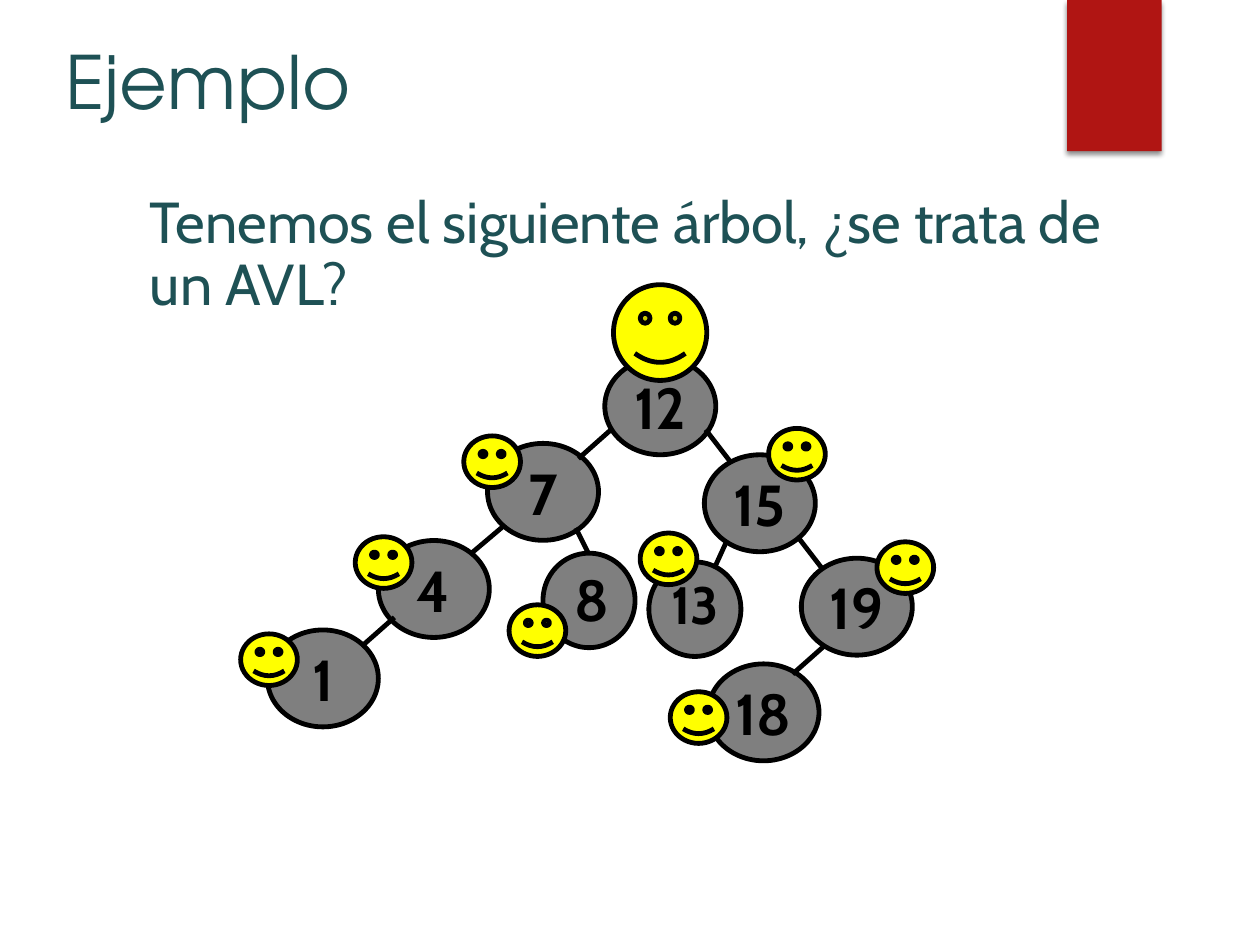
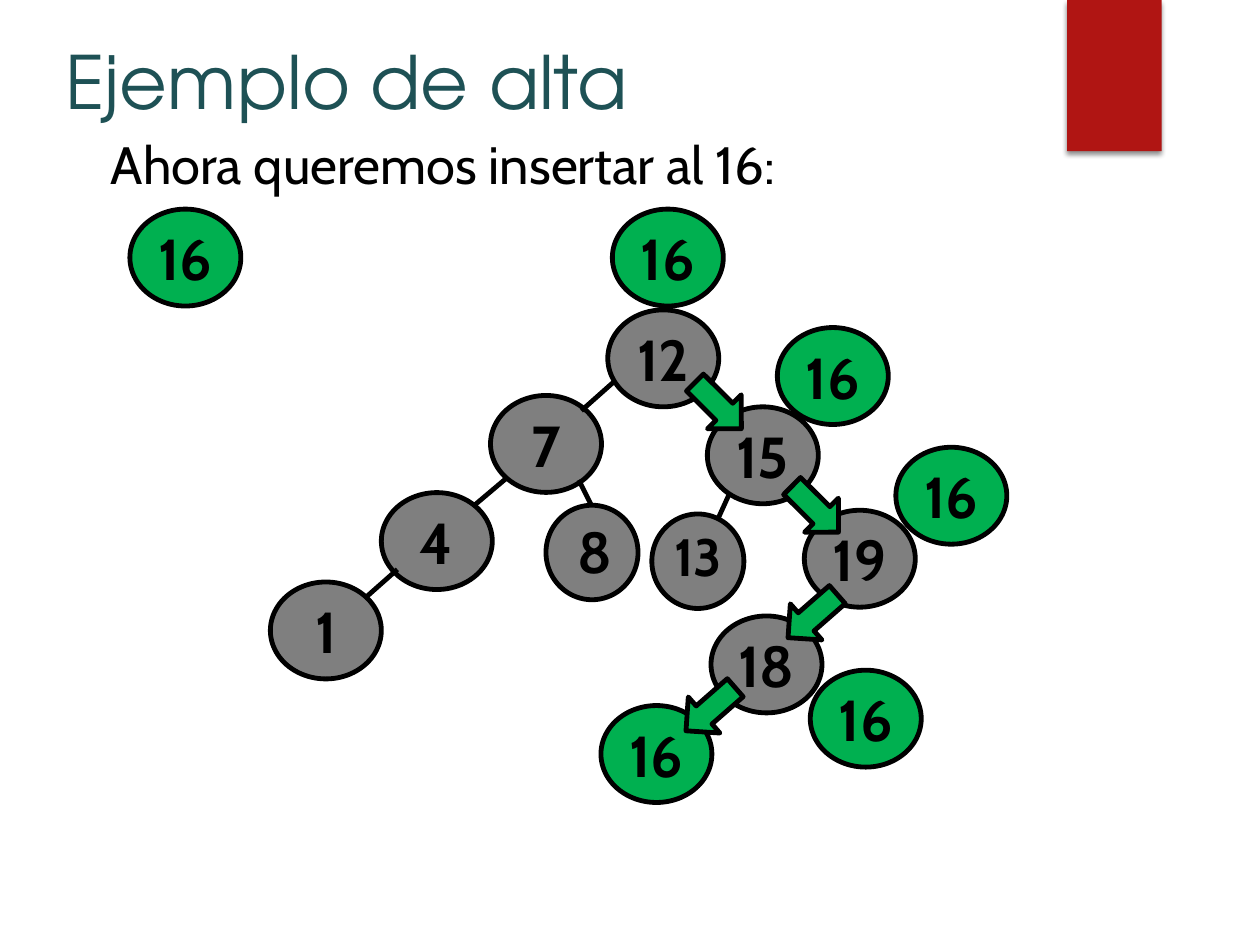
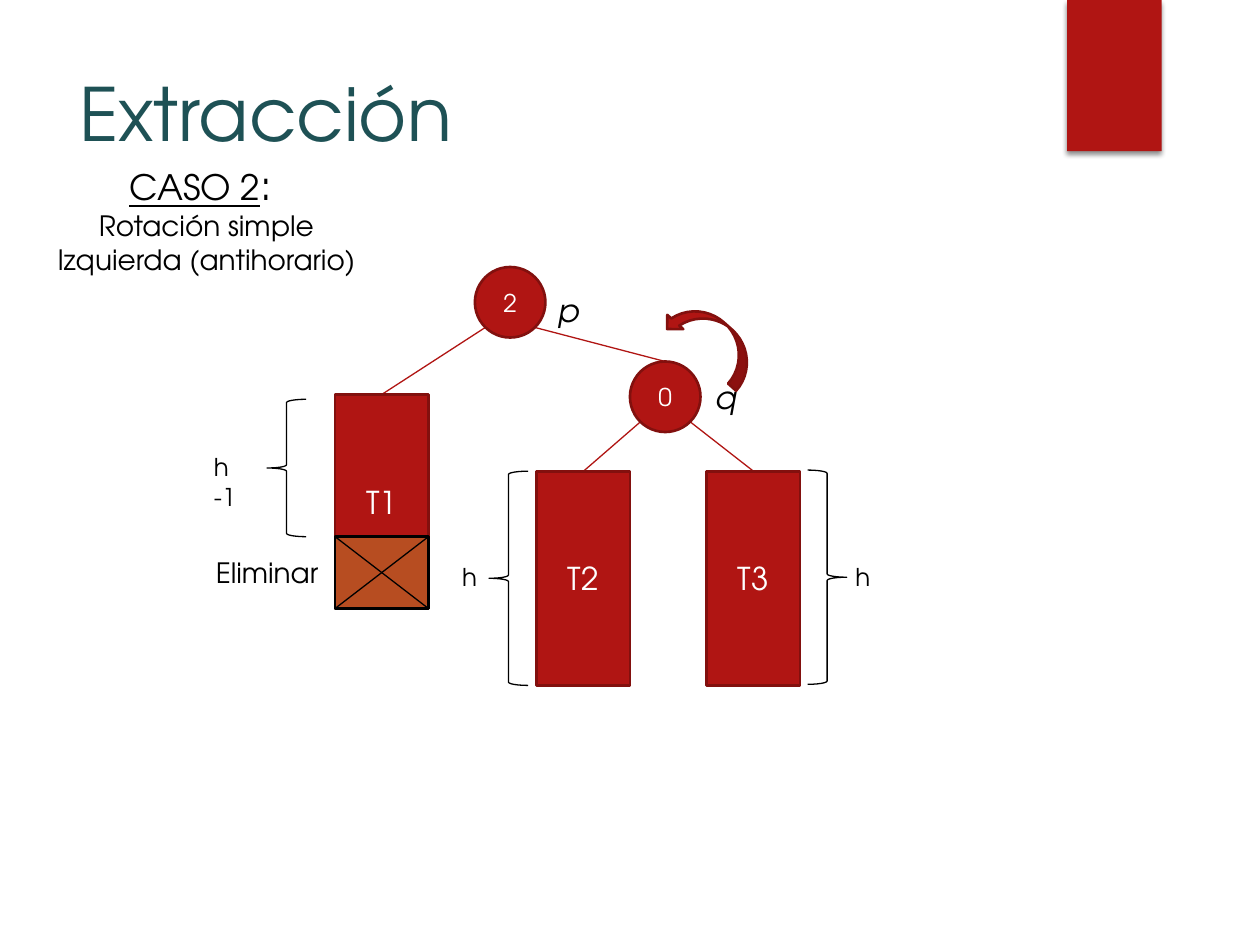
"""Build three slides on AVL trees: a check, an insertion and an extraction."""
from pptx import Presentation
from pptx.dml.color import RGBColor
from pptx.enum.shapes import MSO_CONNECTOR, MSO_SHAPE
from pptx.enum.text import MSO_ANCHOR, PP_ALIGN
from pptx.oxml import parse_xml
from pptx.oxml.ns import nsdecls, qn
from pptx.util import Pt

RED = RGBColor(0xB0, 0x15, 0x13)
DARK = RGBColor(0x82, 0x10, 0x0E)
TEAL = RGBColor(0x1E, 0x51, 0x55)
GRAY = RGBColor(0x7F, 0x7F, 0x7F)
GREEN = RGBColor(0x00, 0xB0, 0x50)
YELLOW = RGBColor(0xFF, 0xFF, 0x00)
RUST = RGBColor(0xB7, 0x4D, 0x21)
BLACK = RGBColor(0, 0, 0)
WHITE = RGBColor(0xFF, 0xFF, 0xFF)

CABIN = "Cabin"
ADVENT = "TeX Gyre Adventor"
TITLE = {"name": ADVENT, "size": Pt(42), "color": TEAL}
ASK = {"name": CABIN, "size": Pt(33), "color": TEAL}
LEAD = {"name": CABIN, "size": Pt(30), "color": BLACK}
DIGIT = {"name": CABIN, "size": Pt(33), "color": BLACK, "bold": True}
NOTE = {"name": ADVENT, "size": Pt(14), "color": BLACK}
MEDIUM = {**NOTE, "size": Pt(16)}
VAR = {**NOTE, "size": Pt(18), "italic": True}
INNER = {**NOTE, "color": WHITE}
BLOCK = {**INNER, "size": Pt(18)}
SNUG = (5, 3)
WIDE = (7.2, 3.6)
HEAVY = 2.75

NODE = (63.4, 55.4)
SMALL = (52.6, 54)
NODES = [
    ("7", 278.6, 253.4), ("12", 345.6, 204.5), ("1", 152.8, 360),
    ("18", 404.6, 379.4), ("8", 310.3, 316.1), ("4", 216.2, 308.9),
    ("15", 402.5, 259.9), ("19", 457.9, 319), ("13", 370.8, 321.1),
]
TIGHT = {"8": (27, 45.4, 33), "13": (61, 41.8, 30)}
EDGES = [
    (349.2, 245.5, 330.5, 262.1), (403.2, 245.5, 417.6, 264.2),
    (287.3, 301, 268.6, 316.8), (225.4, 352.8, 206.6, 369.4),
    (329, 301.7, 336.2, 316.1), (455.8, 306.7, 470.2, 325.4),
    (471.6, 368.6, 452.9, 385.2), (415.4, 308.9, 408.2, 324.7),
]
FACES = [
    (137.5, 362.2), (383, 395.3), (203, 306.7), (290.9, 345.6),
    (365.8, 304.6), (501.1, 309.6), (265, 249.1), (439.2, 244.8),
]
STOPS = [
    (74.2, 119.5), (349.9, 119.5), (444.2, 187.2),
    (511.9, 255.6), (463, 383), (343.4, 403.2),
]
MOVES = [
    (396.7, 213.1, 314.8), (452.2, 272.2, 314.8),
    (450.7, 333.4, 48.8), (392.4, 386.6, 48.8),
]

LINKS = [
    (277.2, 187.2, 218.2, 225.4), (306, 187.2, 380.2, 206.6),
    (365.8, 241.2, 333.4, 269.3), (394.6, 241.2, 430.6, 269.3),
]
ROOTS = [("2", 271.4, 152.6), ("0", 360, 206.6)]
TREES = [("T1", 191.5, 225.4), ("T2", 306.7, 269.3), ("T3", 403.9, 269.3)]
BRACES = [
    (152.6, 228.2, 78.5, 0), (279.4, 269.3, 122.4, 0),
    (461.5, 268.6, 122.4, 180),
]
NAMES = [("p", 311.8, 162.7), ("q", 401.8, 212.4)]
HEIGHTS = [
    ("h -1", 115.2, 254.9, 38.9), ("h", 257, 317.5, 19.4),
    ("h", 481.7, 317.5, 19.4),
]
CASE = [
    [("CASO 2", {"size": Pt(20), "underline": True}), (": ", {"size": Pt(24)})],
    [("Rotación simple", {})],
    [("Izquierda (antihorario)", {})],
]


def style(font, look):
    for key, val in look.items():
        if key == "color":
            font.color.rgb = val
        else:
            setattr(font, key, val)


def write(frame, lines, look, align):
    if isinstance(lines, str):
        lines = [[(lines, {})]]
    for num, runs in enumerate(lines):
        para = frame.add_paragraph() if num else frame.paragraphs[0]
        para.alignment = align
        for text, more in runs:
            run = para.add_run()
            run.text = text
            style(run.font, {**look, **more})


def label(slide, lines, box, look, align=PP_ALIGN.LEFT, pad=WIDE, wrap=True):
    frame = slide.shapes.add_textbox(*map(Pt, box)).text_frame
    side, top = map(Pt, pad)
    values = {
        "word_wrap": wrap, "vertical_anchor": MSO_ANCHOR.TOP,
        "margin_left": side, "margin_right": side,
        "margin_top": top, "margin_bottom": top,
    }
    for key, val in values.items():
        setattr(frame, key, val)
    write(frame, lines, look, align)
    return frame


def draw(slide, kind, box, fill=None, line=None, width=1.5, turn=0, text=""):
    shape = slide.shapes.add_shape(kind, *map(Pt, box))
    shape.shadow.inherit = False
    shape.rotation = turn
    for part, color in ((shape.fill, fill), (shape.line.fill, line)):
        if color is None:
            part.background()
        else:
            part.solid()
            part.fore_color.rgb = color
    if line is not None:
        shape.line.width = Pt(width)
    if text:
        shape.text_frame.vertical_anchor = MSO_ANCHOR.MIDDLE
        look = INNER if kind == MSO_SHAPE.OVAL else BLOCK
        write(shape.text_frame, text, look, PP_ALIGN.CENTER)
    return shape


def link(slide, ends, color, width):
    line = slide.shapes.add_connector(MSO_CONNECTOR.STRAIGHT, *map(Pt, ends))
    line.line.color.rgb = color
    line.line.width = Pt(width)
    line.element.spPr.append(parse_xml(f"<a:effectLst {nsdecls('a')}/>"))


def start(deck, title, box):
    slide = deck.slides.add_slide(deck.slide_layouts[6])
    band = draw(slide, MSO_SHAPE.RECTANGLE, (609.8, 0, 54, 86.4), RED)
    band.element.spPr.find(qn("a:effectLst")).append(parse_xml(
        f"<a:outerShdw {nsdecls('a')} blurRad='{Pt(3)}' dist='{Pt(2)}' "
        "dir='5400000' rotWithShape='0'><a:srgbClr val='000000'>"
        "<a:alpha val='45000'/></a:srgbClr></a:outerShdw>"))
    label(slide, title, box, TITLE)
    return slide


def node(slide, text, x, y, fill=GRAY):
    size = SMALL if text in TIGHT else NODE
    wide, tall, points = TIGHT.get(text, (30 if len(text) == 1 else 50, 45.4, 33))
    draw(slide, MSO_SHAPE.OVAL, (x, y, *size), fill, BLACK, HEAVY)
    drop = 3 if text in TIGHT else 5
    box = (x + (size[0] - wide) / 2, y + drop, wide, tall)
    look = {**DIGIT, "size": Pt(points)}
    label(slide, text, box, look, PP_ALIGN.CENTER, SNUG)


def tree(slide, dx=0, dy=0):
    for text, x, y in NODES:
        node(slide, text, x + dx, y + dy)
    for x1, y1, x2, y2 in EDGES:
        link(slide, (x1 + dx, y1 + dy, x2 + dx, y2 + dy), BLACK, HEAVY)


def check(deck):
    slide = start(deck, "Ejemplo", (30.2, 17.3, 648, 90))
    frame = label(slide, "Tenemos el siguiente árbol, ¿se trata de un AVL?",
                  (80.6, 108, 567.4, 87.8), ASK, pad=SNUG)
    frame.paragraphs[0].line_spacing = 0.89
    tree(slide)
    faces = [(x, y, 32.4, 29.5) for x, y in FACES] + [(350.6, 162.7, 53.3, 54.7)]
    for box in faces:
        draw(slide, MSO_SHAPE.SMILEY_FACE, box, YELLOW, BLACK, HEAVY)


def insert(deck):
    slide = start(deck, "Ejemplo de alta", (30.2, 17.3, 648, 94.3))
    label(slide, "Ahora queremos insertar al 16:", (58.3, 72.7, 445, 41.8),
          LEAD, pad=SNUG)
    tree(slide, 1.7, -27.4)
    for x, y in STOPS:
        node(slide, "16", x, y, GREEN)
    for x, y, turn in MOVES:
        draw(slide, MSO_SHAPE.DOWN_ARROW, (x, y, 27.4, 37.4), GREEN, BLACK,
             HEAVY, turn)


def extract(deck):
    slide = start(deck, "Extracción", (38.2, 35.3, 555.8, 110.2))
    mid = PP_ALIGN.CENTER
    for ends in LINKS:
        link(slide, ends, RED, 0.75)
    for text, x, y in ROOTS:
        draw(slide, MSO_SHAPE.OVAL, (x, y, 40.3, 40.3), RED, DARK, text=text)
    for text, x, y in TREES:
        draw(slide, MSO_SHAPE.RECTANGLE, (x, y, 53.3, 122.4), RED, DARK, text=text)
    left, top, wide, tall = 191.5, 306.7, 53.3, 41
    right, low = left + wide, top + tall
    draw(slide, MSO_SHAPE.RECTANGLE, (left, top, wide, tall), RUST, BLACK)
    link(slide, (left, top, right, low), BLACK, 0.75)
    link(slide, (right, top, left, low), BLACK, 0.75)
    label(slide, CASE, (-16.6, 87.1, 269.3, 74.9), MEDIUM, mid)
    label(slide, "Eliminar", (18, 313.9, 269.3, 26.6), MEDIUM, mid)
    for text, x, y in NAMES:
        label(slide, text, (x, y, 23, 28.8), VAR, mid, wrap=False)
    draw(slide, MSO_SHAPE.CURVED_UP_ARROW, (377.3, 182.2, 59, 24.5), RED, DARK,
         turn=221.8)
    for x, y, high, turn in BRACES:
        draw(slide, MSO_SHAPE.LEFT_BRACE, (x, y, 22.3, high), None, BLACK,
             0.75, turn)
    for text, x, y, span in HEIGHTS:
        label(slide, text, (x, y, span, 24.5), NOTE)


def main():
    deck = Presentation()
    deck.slide_width, deck.slide_height = Pt(720), Pt(540)
    for build in (check, insert, extract):
        build(deck)
    deck.save("out.pptx")


if __name__ == "__main__":
    main()
